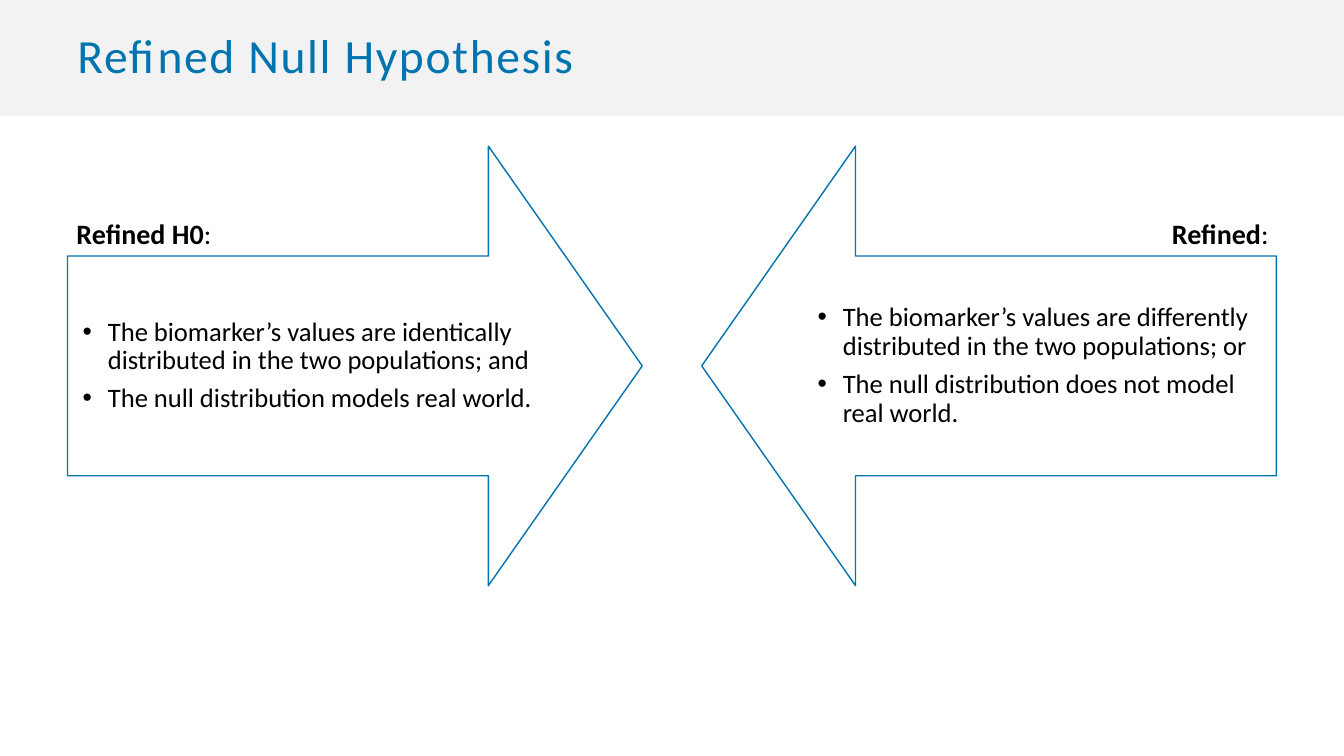
from dataclasses import dataclass
from typing import Any

from lxml import etree
from pptx import Presentation
from pptx import util as u
from pptx.dml import color
from pptx.enum import shapes, text
from pptx.oxml import ns

COLORS = {"band": "F2F2F2", "accent": "0074AF", "text": "000000", "white": "FFFFFF"}
FONT = "Calibri"
ARROW_TOP, ARROW_WIDTH, ARROW_HEIGHT = 1.45, 5.7, 4.36
BODY_HEIGHT = ARROW_HEIGHT / 2
BODY_TOP = ARROW_TOP + BODY_HEIGHT / 2


@dataclass
class Hypothesis:
    label: str
    label_left: float
    label_width: float
    label_wrap: bool
    alignment: text.PP_ALIGN
    arrow: shapes.MSO_SHAPE
    arrow_left: float
    body_left: float
    body_width: float
    bullets: list[str]


HYPOTHESES = [
    Hypothesis(
        "Refined H0", 0.66, 1.55, False, text.PP_ALIGN.LEFT,
        shapes.MSO_SHAPE.RIGHT_ARROW, 0.67, 0.67, 4.78,
        ["The biomarker’s values are identically distributed in the two populations; and",
         "The null distribution models real world."],
    ),
    Hypothesis(
        "Refined", 9.41, 3.27, True, text.PP_ALIGN.RIGHT,
        shapes.MSO_SHAPE.LEFT_ARROW, 6.96, 7.96, 4.7,
        ["The biomarker’s values are differently distributed in the two populations; or",
         "The null distribution does not model real world."],
    ),
]


def apply_format(target: Any, values: dict[str, Any]) -> None:
    for name, value in values.items():
        setattr(target, name, value)


def add_run(paragraph: Any, words: str, size: float, color_name: str = "text", bold: bool = False) -> Any:
    run = paragraph.add_run()
    run.text = words
    apply_format(run.font, {"name": FONT, "size": u.Pt(size), "bold": bold})
    run.font.color.rgb = color.RGBColor.from_string(COLORS[color_name])
    return run


def add_frame(slide: Any, left: float, top: float, width: float, height: float, **values: Any) -> Any:
    box = slide.shapes.add_textbox(u.Inches(left), u.Inches(top), u.Inches(width), u.Inches(height))
    apply_format(box.text_frame, {"word_wrap": True, **values})
    return box.text_frame


def fill_shape(shape: Any, color_name: str) -> None:
    shape.shadow.inherit = False
    shape.fill.solid()
    shape.fill.fore_color.rgb = color.RGBColor.from_string(COLORS[color_name])


def add_bullet(paragraph: Any) -> None:
    properties = paragraph._p.get_or_add_pPr()
    properties.set("marL", str(u.Inches(0.25)))
    properties.set("indent", str(-u.Inches(0.25)))
    etree.SubElement(properties, ns.qn("a:buFont")).set("typeface", "Arial")
    etree.SubElement(properties, ns.qn("a:buChar")).set("char", "•")


def add_header(slide: Any, title: str) -> None:
    band = slide.shapes.add_shape(
        shapes.MSO_SHAPE.RECTANGLE, 0, 0, u.Inches(13.33), u.Inches(1.15))
    fill_shape(band, "band")
    band.line.fill.background()
    frame = add_frame(slide, 0.67, 0, 12, 1.15, vertical_anchor=text.MSO_ANCHOR.MIDDLE)
    paragraph = frame.paragraphs[0]
    paragraph.line_spacing = 0.9
    run = add_run(paragraph, title, 34, "accent")
    run._r.get_or_add_rPr().set("spc", "120")


def add_hypothesis(slide: Any, hypothesis: Hypothesis) -> None:
    label = add_frame(slide, hypothesis.label_left, 2.1, hypothesis.label_width, 0.44,
                      word_wrap=hypothesis.label_wrap).paragraphs[0]
    label.alignment = hypothesis.alignment
    add_run(label, hypothesis.label, 20, bold=True)
    add_run(label, ":", 20)

    arrow = slide.shapes.add_shape(
        hypothesis.arrow, u.Inches(hypothesis.arrow_left), u.Inches(ARROW_TOP),
        u.Inches(ARROW_WIDTH), u.Inches(ARROW_HEIGHT))
    fill_shape(arrow, "white")
    arrow.adjustments[0], arrow.adjustments[1] = 0.5, 0.35
    arrow.line.color.rgb = color.RGBColor.from_string(COLORS["accent"])
    arrow.line.width = u.Pt(1)

    margins = {f"margin_{side}": u.Inches(0.15) for side in ("left", "top", "right", "bottom")}
    frame = add_frame(slide, hypothesis.body_left, BODY_TOP, hypothesis.body_width, BODY_HEIGHT,
                      vertical_anchor=text.MSO_ANCHOR.MIDDLE, **margins)
    for index, words in enumerate(hypothesis.bullets):
        paragraph = frame.add_paragraph() if index else frame.paragraphs[0]
        add_bullet(paragraph)
        apply_format(paragraph, {"line_spacing": 0.9, "space_before": u.Pt(6.65 if index else 0)})
        add_run(paragraph, words, 19)


def main() -> None:
    presentation = Presentation()
    apply_format(presentation, {"slide_width": u.Inches(13.33), "slide_height": u.Inches(7.5)})
    slide = presentation.slides.add_slide(presentation.slide_layouts[6])
    add_header(slide, "Refined Null Hypothesis")
    for hypothesis in HYPOTHESES:
        add_hypothesis(slide, hypothesis)
    presentation.save("out.pptx")


if __name__ == "__main__":
    main()
